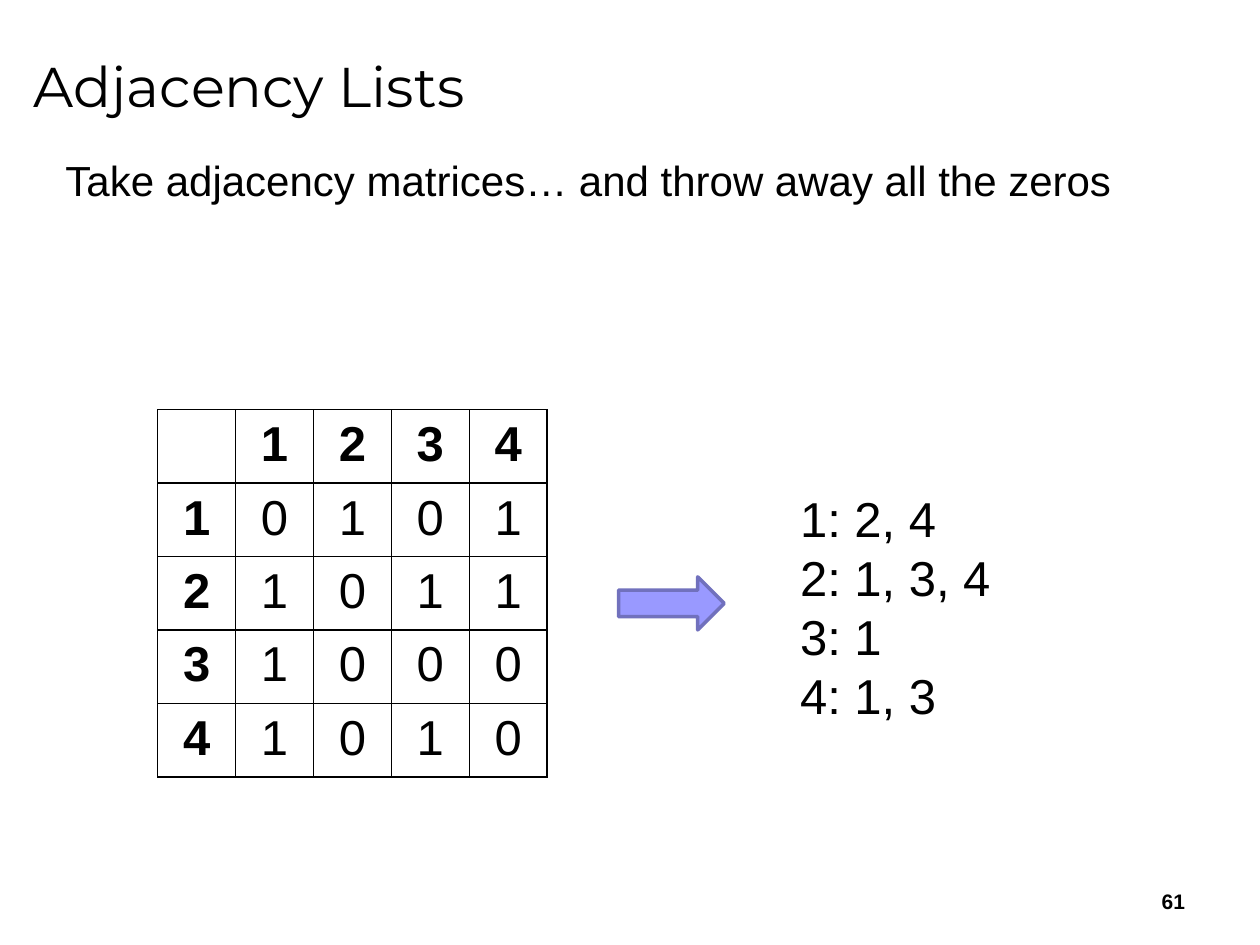
from lxml import etree
from pptx import Presentation
from pptx import util as u
from pptx.dml.color import RGBColor
from pptx.enum import shapes, text
from pptx.oxml.ns import qn

COLORS = {"ink": "000000", "arrow": "9999FF", "arrow_edge": "7171BD"}
MATRIX = [
    [0, 1, 0, 1],
    [1, 0, 1, 1],
    [1, 0, 0, 0],
    [1, 0, 1, 0],
]
ADJACENCY_LISTS = ["1: 2, 4", "2: 1, 3, 4", "3: 1", "4: 1, 3"]


def color(name):
    return RGBColor.from_string(COLORS[name])


def write(frame, lines, size, font="Arial", bold=False,
          align=text.PP_ALIGN.LEFT, spacing=None):
    """Fill a text frame with one paragraph per line."""
    for index, line in enumerate(lines):
        paragraph = frame.paragraphs[0] if index == 0 else frame.add_paragraph()
        paragraph.alignment = align
        paragraph.line_spacing = spacing
        run = paragraph.add_run()
        run.text = line
        run.font.size = u.Pt(size)
        run.font.name = font
        run.font.bold = bold
        run.font.color.rgb = color("ink")


def add_text(slide, box, lines, size, anchor=text.MSO_ANCHOR.TOP, wrap=True, **style):
    shape = slide.shapes.add_textbox(*map(u.Cm, box))
    shape.text_frame.word_wrap = wrap
    shape.text_frame.vertical_anchor = anchor
    write(shape.text_frame, lines, size, **style)


def add_arrow(slide, box):
    shape = slide.shapes.add_shape(shapes.MSO_SHAPE.RIGHT_ARROW, *map(u.Cm, box))
    shape.shadow.inherit = False
    shape.fill.solid()
    shape.fill.fore_color.rgb = color("arrow")
    shape.line.color.rgb = color("arrow_edge")
    shape.line.width = u.Pt(2)


def add_borders(cell):
    properties = cell._tc.get_or_add_tcPr()
    for index, side in enumerate(("lnL", "lnR", "lnT", "lnB")):
        line = etree.Element(qn(f"a:{side}"), w=str(u.Pt(1)))
        fill = etree.SubElement(line, qn("a:solidFill"))
        etree.SubElement(fill, qn("a:srgbClr"), val=COLORS["ink"])
        properties.insert(index, line)


def add_matrix(slide, left, top, column_width, row_height):
    """Draw the adjacency matrix with numbered header row and column."""
    header = [""] + list(range(1, len(MATRIX) + 1))
    rows = [header] + [[number, *row] for number, row in enumerate(MATRIX, 1)]
    count = len(rows)
    table = slide.shapes.add_table(
        count, count, u.Cm(left), u.Cm(top),
        u.Cm(count * column_width), u.Cm(count * row_height)).table
    table.horz_banding = False
    for index in range(count):
        table.columns[index].width = u.Cm(column_width)
        table.rows[index].height = u.Cm(row_height)
    for row, values in enumerate(rows):
        for column, value in enumerate(values):
            cell = table.cell(row, column)
            cell.fill.background()
            cell.vertical_anchor = text.MSO_ANCHOR.MIDDLE
            cell.margin_top = u.Cm(0.27)
            add_borders(cell)
            if value != "":
                write(cell.text_frame, [str(value)], 28, bold=row == 0 or column == 0,
                      align=text.PP_ALIGN.CENTER, spacing=0.71)


def main():
    presentation = Presentation()
    presentation.slide_width = u.Cm(25.4)
    presentation.slide_height = u.Cm(19.05)
    slide = presentation.slides.add_slide(presentation.slide_layouts[6])

    middle = text.MSO_ANCHOR.MIDDLE
    add_text(slide, (0.43, 0.3, 24.13, 2.84), ["Adjacency Lists"], 32,
             anchor=middle, font="Montserrat")
    add_text(slide, (1.07, 3, 23.5, 14.17),
             ["Take adjacency matrices… and throw away all the zeros"], 24)
    add_text(slide, (15.88, 9.73, 4.45, 5.05), ADJACENCY_LISTS, 28, wrap=False)
    add_arrow(slide, (12.47, 11.63, 2.13, 1.07))
    add_matrix(slide, 3.18, 8.26, 1.57, 1.48)
    add_text(slide, (18.21, 17.65, 5.93, 1.02), ["61"], 12,
             anchor=middle, bold=True, align=text.PP_ALIGN.RIGHT)
    presentation.save("out.pptx")


if __name__ == "__main__":
    main()
